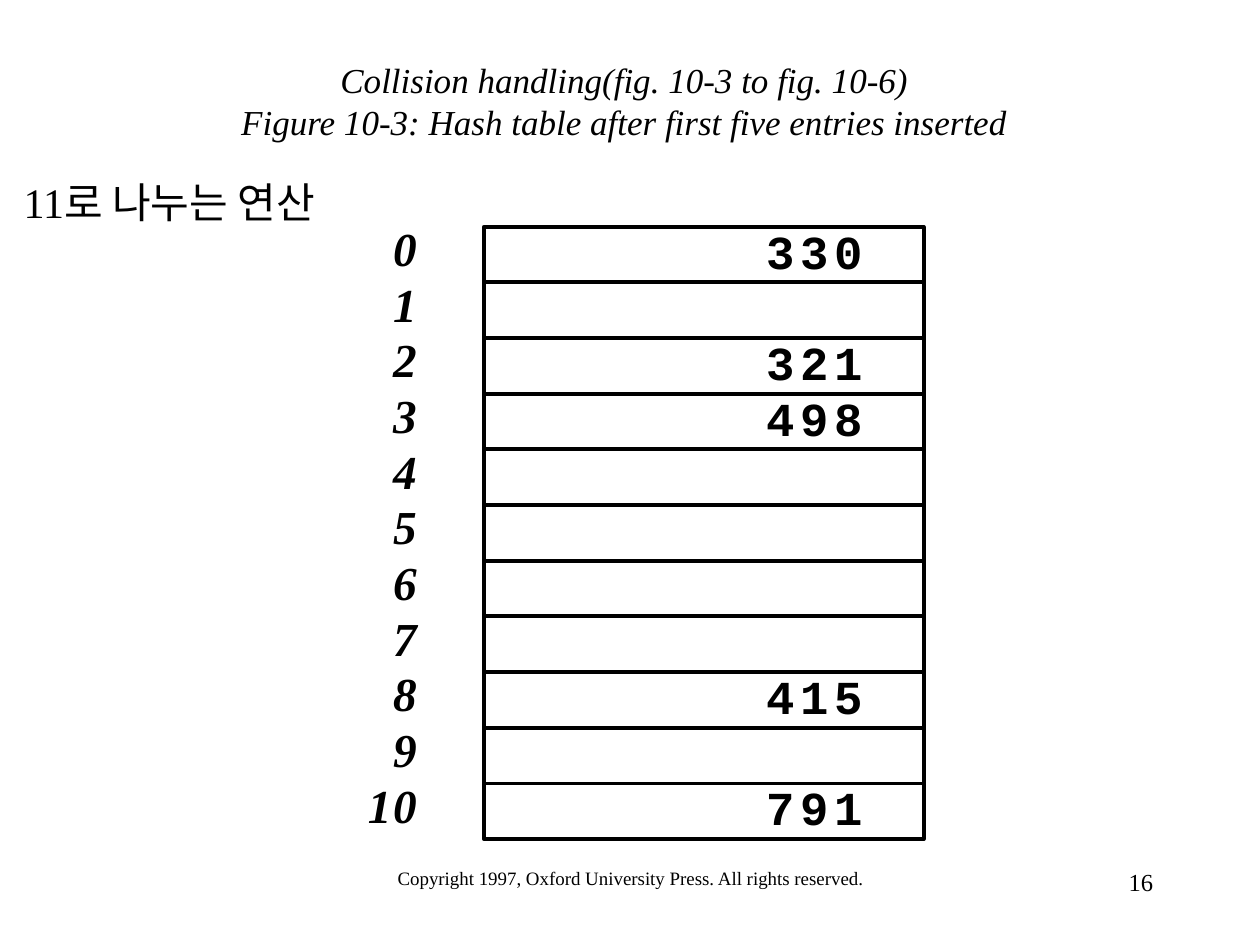
from copy import deepcopy

from lxml import etree
from pptx import Presentation
from pptx.dml.color import RGBColor
from pptx.enum import shapes as kinds, text as styles
from pptx.oxml.ns import qn
from pptx.util import Inches, Pt

BLACK = RGBColor(0x00, 0x00, 0x00)
WHITE = RGBColor(0xFF, 0xFF, 0xFF)
SERIF, MONO = "Times New Roman", "Courier New"
INDEX_FORMAT = {"size": Pt(27), "name": SERIF, "bold": True, "italic": True}
KEY_FORMAT = {"size": Pt(27), "name": MONO, "bold": True}

TITLE = ("Collision handling(fig. 10-3 to fig. 10-6)",
         "Figure 10-3: Hash table after first five entries inserted")
SLOTS = 11
ENTRIES = {0: "330", 2: "321", 3: "498", 8: "415", 10: "791"}


def format_run(run, formats):
    for attribute, value in formats.items():
        setattr(run.font, attribute, value)
    run.font.color.rgb = BLACK


def add_text(slide, box, content, formats, align=styles.PP_ALIGN.LEFT, inset=True, wrap=True):
    frame = slide.shapes.add_textbox(*map(Inches, box)).text_frame
    frame.word_wrap = wrap
    if not wrap:
        frame.auto_size = styles.MSO_AUTO_SIZE.SHAPE_TO_FIT_TEXT
    if not inset:
        for side in ("left", "top", "right", "bottom"):
            setattr(frame, f"margin_{side}", 0)
    paragraph = frame.paragraphs[0]
    paragraph.alignment = align
    run = paragraph.add_run()
    run.text = content
    format_run(run, formats)


def add_title(slide, box):
    title = slide.shapes.title
    for side, length in zip(("left", "top", "width", "height"), box):
        setattr(title, side, Inches(length))
    frame = title.text_frame
    frame.auto_size = styles.MSO_AUTO_SIZE.NONE
    frame.vertical_anchor = styles.MSO_ANCHOR.MIDDLE
    heading = frame.paragraphs[0]
    heading.alignment = styles.PP_ALIGN.CENTER
    for number, line in enumerate(TITLE):
        if number:
            heading.add_line_break()
        run = heading.add_run()
        run.text = line
        format_run(run, {"size": Pt(20), "name": SERIF, "italic": True})
    # The line break takes the run's size, so that the line is not taller
    line_break = heading._p.find(qn("a:br"))
    line_break.append(deepcopy(run._r.rPr))


def add_digits(slide, right, top, number, pitch, width, formats):
    """Place each digit in its own box, the last one ending at right."""
    for place, digit in enumerate(reversed(number)):
        left = right - width - place * pitch
        add_text(slide, (left, top, width, 0.45), digit, formats, inset=False, wrap=False)


def add_backdrop(slide, box):
    backdrop = slide.shapes.add_shape(kinds.MSO_SHAPE.RECTANGLE, *map(Inches, box))
    backdrop.shadow.inherit = False
    backdrop.fill.solid()
    backdrop.fill.fore_color.rgb = WHITE
    backdrop.line.fill.background()


def add_slot_grid(slide, box):
    left, top, width, height = box
    grid = slide.shapes.add_group_shape()
    outline = grid.shapes.add_shape(kinds.MSO_SHAPE.RECTANGLE, *map(Inches, box))
    outline.shadow.inherit = False
    outline.fill.background()
    borders = [outline]
    for slot in range(1, SLOTS + 1):
        y = Inches(top + slot * height / SLOTS)
        rule = grid.shapes.add_connector(
            kinds.MSO_CONNECTOR.STRAIGHT, Inches(left), y, Inches(left + width), y)
        etree.SubElement(rule._element.spPr, qn("a:effectLst"))
        borders.append(rule)
    for border in borders:
        border.line.color.rgb = BLACK
        border.line.width = Pt(2.25)


def add_hash_table(slide, box):
    left, top, width, height = box
    row = height / SLOTS
    for slot, key in ENTRIES.items():
        add_digits(slide, left + width - 0.48, top - 0.04 + slot * row,
                   key, 0.27, 0.23, KEY_FORMAT)
    add_slot_grid(slide, box)
    for slot in range(SLOTS):
        add_digits(slide, left - 0.5, top - 0.06 + slot * row,
                   str(slot), 0.2, 0.22, INDEX_FORMAT)


def add_footer(slide, box):
    left, top, width, height = box
    add_text(slide, (left, top, 4.17, height),
             "Copyright 1997, Oxford University Press. All rights reserved.",
             {"size": Pt(10.8), "name": SERIF}, styles.PP_ALIGN.CENTER)
    add_text(slide, (left + width - 2.08, top, 2.08, height), "16",
             {"size": Pt(14), "name": SERIF}, styles.PP_ALIGN.RIGHT)


def main():
    deck = Presentation()
    deck.slide_width, deck.slide_height = Inches(10), Inches(7.5)
    slide = deck.slides.add_slide(deck.slide_layouts.get_by_name("Title Only"))
    add_footer(slide, (2.92, 6.83, 6.33, 0.5))
    add_title(slide, (0.33, 0.17, 9.25, 1.25))
    add_backdrop(slide, (2.09, 1.58, 5.82, 5.33))
    add_hash_table(slide, (3.84, 1.8, 3.49, 4.86))
    add_text(slide, (0.09, 1.35, 2.64, 0.5), "11로 나누는 연산",
             {"size": Pt(24), "name": SERIF}, wrap=False)
    deck.save("out.pptx")


if __name__ == "__main__":
    main()
